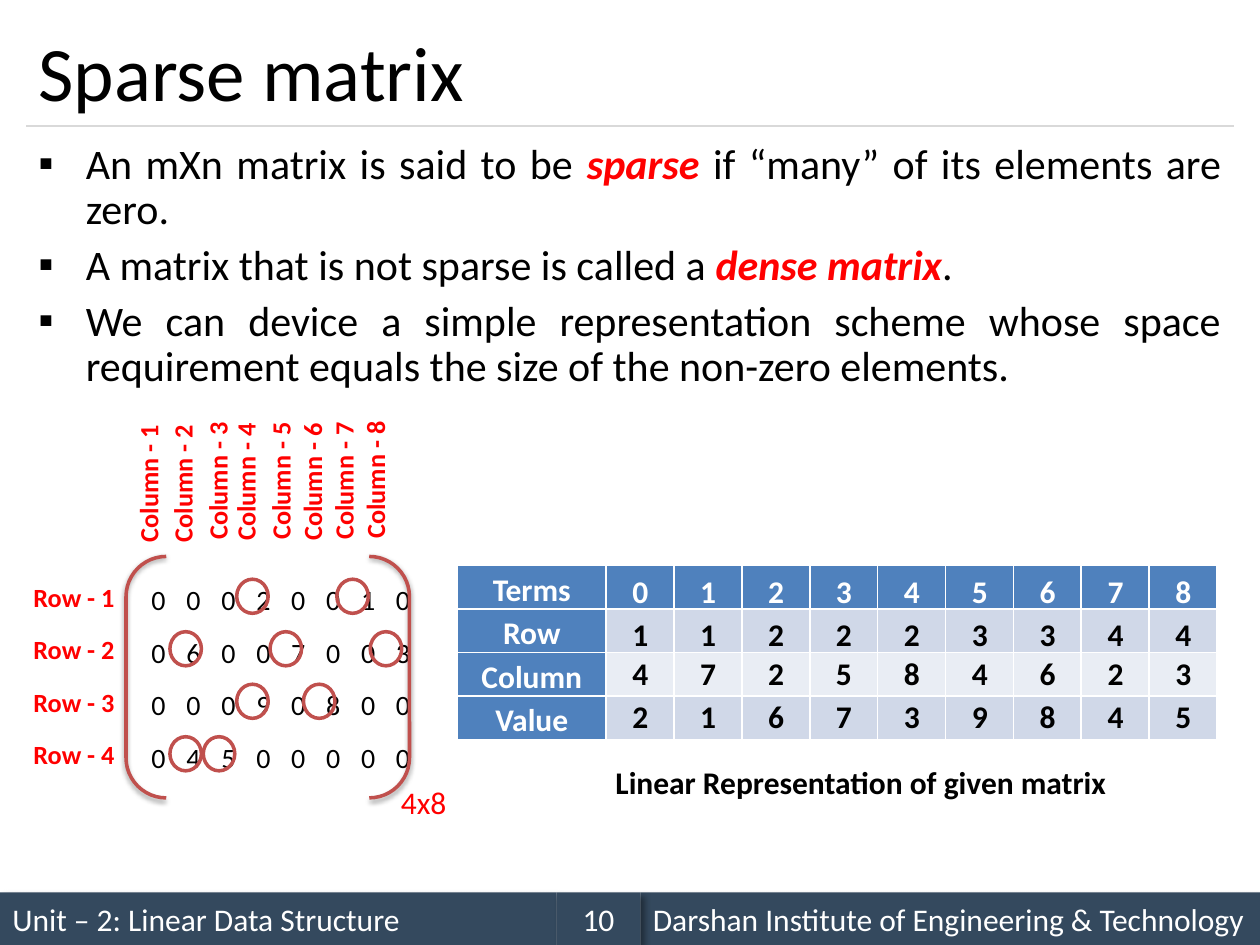
from lxml import etree
from pptx import Presentation
from pptx.dml.color import RGBColor
from pptx.enum.shapes import MSO_CONNECTOR, MSO_SHAPE
from pptx.enum.text import MSO_ANCHOR, PP_ALIGN
from pptx.oxml.ns import qn
from pptx.util import Pt

LEFT, CENTER, JUSTIFY = PP_ALIGN.LEFT, PP_ALIGN.CENTER, PP_ALIGN.JUSTIFY
TOP, MIDDLE = MSO_ANCHOR.TOP, MSO_ANCHOR.MIDDLE

BLACK = RGBColor(0x00, 0x00, 0x00)
WHITE = RGBColor(0xFF, 0xFF, 0xFF)
RED = RGBColor(0xFF, 0x00, 0x00)
NAVY = RGBColor(0x34, 0x49, 0x5E)
RULE_GREY = RGBColor(0xD9, 0xD9, 0xD9)
BRICK = RGBColor(0xC0, 0x50, 0x4D)
HEADER_BLUE = RGBColor(0x4F, 0x81, 0xBD)
BAND_DARK = RGBColor(0xD0, 0xD8, 0xE8)
BAND_LIGHT = RGBColor(0xE9, 0xED, 0xF4)

MATRIX = ["00020010", "06007003", "00090800", "04500000"]
NONZERO = [(r, c, v) for r, row in enumerate(MATRIX) for c, v in enumerate(row) if v != "0"]

# Each bullet is a list of (text, emphasised) runs.
BULLETS = [
    [("An mXn matrix is said to be ", False), ("sparse", True),
     (" if “many” of its elements are zero.", False)],
    [("A matrix that is not sparse is called a ", False), ("dense matrix", True), (".", False)],
    [("We can device a simple representation scheme whose space requirement "
      "equals the size of the non-zero elements.", False)],
]

COLUMN_LABELS = [(72, 234), (91.5, 234), (111.5, 232.5), (127.5, 233),
                 (147.5, 232.5), (165.5, 233), (183.5, 232.5), (201.5, 232)]


def add_run(p, text, size, color, **font):
    r = p.add_run()
    r.text = text
    r.font.color.rgb = color
    for name, value in {"name": "Calibri", "size": Pt(size), **font}.items():
        setattr(r.font, name, value)


def add_text(shapes, box, text, size, color, bold=False, align=LEFT, anchor=TOP):
    tb = shapes.add_textbox(*map(Pt, box))
    tf = tb.text_frame
    tf.word_wrap = True
    tf.vertical_anchor = anchor
    p = tf.paragraphs[0]
    p.alignment = align
    add_run(p, text, size, color, bold=bold)
    return tb


def add_shadow(sp, blur, distance, angle, opacity):
    effects = etree.SubElement(sp._element.spPr, qn("a:effectLst"))
    shadow = etree.SubElement(effects, qn("a:outerShdw"), blurRad=str(Pt(blur)),
                              dist=str(Pt(distance)), dir=str(angle * 60000),
                              algn="tl", rotWithShape="0")
    color = etree.SubElement(shadow, qn("a:srgbClr"), val="000000")
    etree.SubElement(color, qn("a:alpha"), val=str(opacity * 1000))


def add_footer(s, x, y, height):
    parts = [(x, 318, "Unit – 2: Linear Data Structure", LEFT),
             (x + 366, 354, "Darshan Institute of Engineering & Technology", LEFT),
             (x + 318, 48, "10", CENTER)]
    for left, width, text, align in parts:
        sp = s.shapes.add_shape(MSO_SHAPE.RECTANGLE, Pt(left), Pt(y), Pt(width), Pt(height))
        sp.fill.solid()
        sp.fill.fore_color.rgb = NAVY
        sp.line.fill.background()
        add_shadow(sp, 4, 3, 45, 40)
        tf = sp.text_frame
        tf.vertical_anchor = MIDDLE
        p = tf.paragraphs[0]
        p.alignment = align
        add_run(p, text, 18, WHITE)


def add_title(s, x, y, width, height):
    add_text(s.shapes, (x, y, width, height), "Sparse matrix", 44, BLACK, anchor=MIDDLE)
    rule_y = Pt(y + height)
    rule = s.shapes.add_connector(MSO_CONNECTOR.STRAIGHT, Pt(x), rule_y, Pt(x + width), rule_y)
    rule.line.color.rgb = RULE_GREY
    rule.line.width = Pt(0.75)
    etree.SubElement(rule._element.spPr, qn("a:effectLst"))


def add_bullets(s, x, y, width, height):
    tf = s.shapes.add_textbox(Pt(x), Pt(y), Pt(width), Pt(height)).text_frame
    tf.word_wrap = True
    for i, runs in enumerate(BULLETS):
        p = tf.add_paragraph() if i else tf.paragraphs[0]
        p.alignment = JUSTIFY
        p.line_spacing = 0.9
        p.space_before = Pt(6 if i else 0)
        pPr = p._p.get_or_add_pPr()
        pPr.set("marL", str(Pt(27)))
        pPr.set("indent", str(-Pt(27)))
        etree.SubElement(pPr, qn("a:buFont"), typeface="Wingdings")
        pPr[-1].set("typeface", "Calibri")
        etree.SubElement(pPr, qn("a:buChar"), char="▪")
        for text, strong in runs:
            add_run(p, text, 24, RED if strong else BLACK, bold=strong, italic=strong)


def format_cell(cell, side_margin, line_spacing):
    cell.margin_left = cell.margin_right = Pt(side_margin)
    cell.margin_top = cell.margin_bottom = 0
    p = cell.text_frame.paragraphs[0]
    p.alignment = CENTER
    p.line_spacing = line_spacing
    return p


def add_matrix(s, x, y, col_width, row_height):
    """Matrix values with brackets, row and column labels, and rings on the non-zero values."""
    rows, cols = len(MATRIX), len(MATRIX[0])
    table = s.shapes.add_table(rows, cols, Pt(x), Pt(y), Pt(col_width * cols),
                               Pt(row_height * rows)).table
    table.first_row = table.horz_banding = False
    for column in table.columns:
        column.width = Pt(col_width)
    for r, values in enumerate(MATRIX):
        table.rows[r].height = Pt(row_height)
        for c, value in enumerate(values):
            cell = table.cell(r, c)
            cell.fill.background()
            add_run(format_cell(cell, 8.57, 1.5), value, 16, BLACK)

    labels = s.shapes.add_group_shape().shapes
    brackets = labels.add_shape(MSO_SHAPE.DOUBLE_BRACKET, Pt(x - 6), Pt(y - 6), Pt(162), Pt(138))
    brackets.fill.background()
    brackets.line.color.rgb = BRICK
    brackets.line.width = Pt(2)
    add_shadow(brackets, 3.1, 1.6, 90, 38)
    add_text(labels, (x + 144, y + 120, 48, 29), "4x8", 18, RED)
    for r in range(rows):
        add_text(labels, (x - 66, y + 4.4 + r * row_height, 84, 25),
                 f"Row - {r + 1}", 15, RED, bold=True)
    for c, (left, top) in enumerate(COLUMN_LABELS, 1):
        tb = add_text(labels, (left, top, 32.4, 83), f"Column - {c}", 15, RED, bold=True)
        tb.text_frame._txBody.bodyPr.set("vert", "vert270")

    for r, c, _ in NONZERO:
        ring = s.shapes.add_shape(MSO_SHAPE.OVAL, Pt(x + c * col_width),
                                  Pt(y + 7 + r * row_height), Pt(18), Pt(19.5))
        ring.shadow.inherit = False
        ring.fill.background()
        ring.line.color.rgb = BRICK
        ring.line.width = Pt(2)


def add_linear_table(s, x, y, label_width, col_width, row_height):
    """Row, column and value of each non-zero term, with a caption below."""
    headings = ["Terms", "Row", "Column", "Value"]
    cols = len(NONZERO) + 1
    table = s.shapes.add_table(len(headings), cols, Pt(x), Pt(y),
                               Pt(label_width + col_width * len(NONZERO)),
                               Pt(row_height * len(headings))).table
    table.first_col = True
    for c, column in enumerate(table.columns):
        column.width = Pt(col_width if c else label_width)
    for r, heading in enumerate(headings):
        table.rows[r].height = Pt(row_height)
        for c in range(cols):
            cell = table.cell(r, c)
            cell.fill.solid()
            cell.fill.fore_color.rgb = (HEADER_BLUE if r == 0 or c == 0
                                        else BAND_DARK if r % 2 else BAND_LIGHT)
            p = format_cell(cell, 5, 1.15)
            if c == 0:
                cell.vertical_anchor = MIDDLE
                add_run(p, heading, 18, WHITE, bold=True)

    add_text(s.shapes, (x + 44.6, y + 109.5, 372, 29),
             "Linear Representation of given matrix", 18, BLACK, bold=True, align=CENTER)
    for term, (r, c, value) in enumerate(NONZERO):
        left = x + label_width + 1.5 + term * col_width
        entries = zip((0, 24.5, 47, 71.5), (term, r + 1, c + 1, value))
        for offset, entry in entries:
            add_text(s.shapes, (left, y + offset, 36, 29), str(entry), 18,
                     BLACK if offset else WHITE, bold=True, align=CENTER)


def main():
    prs = Presentation()
    prs.slide_width, prs.slide_height = Pt(720), Pt(540)
    s = prs.slides.add_slide(prs.slide_layouts[6])
    add_footer(s, 0, 510, 30)
    add_title(s, 15, 9, 690, 63)
    add_bullets(s, 15, 78, 690, 156)
    add_matrix(s, 78, 324, 19.08, 30)
    add_linear_table(s, 261.4, 323.2, 85, 38.8, 24.8)
    prs.save("out.pptx")


if __name__ == "__main__":
    main()
